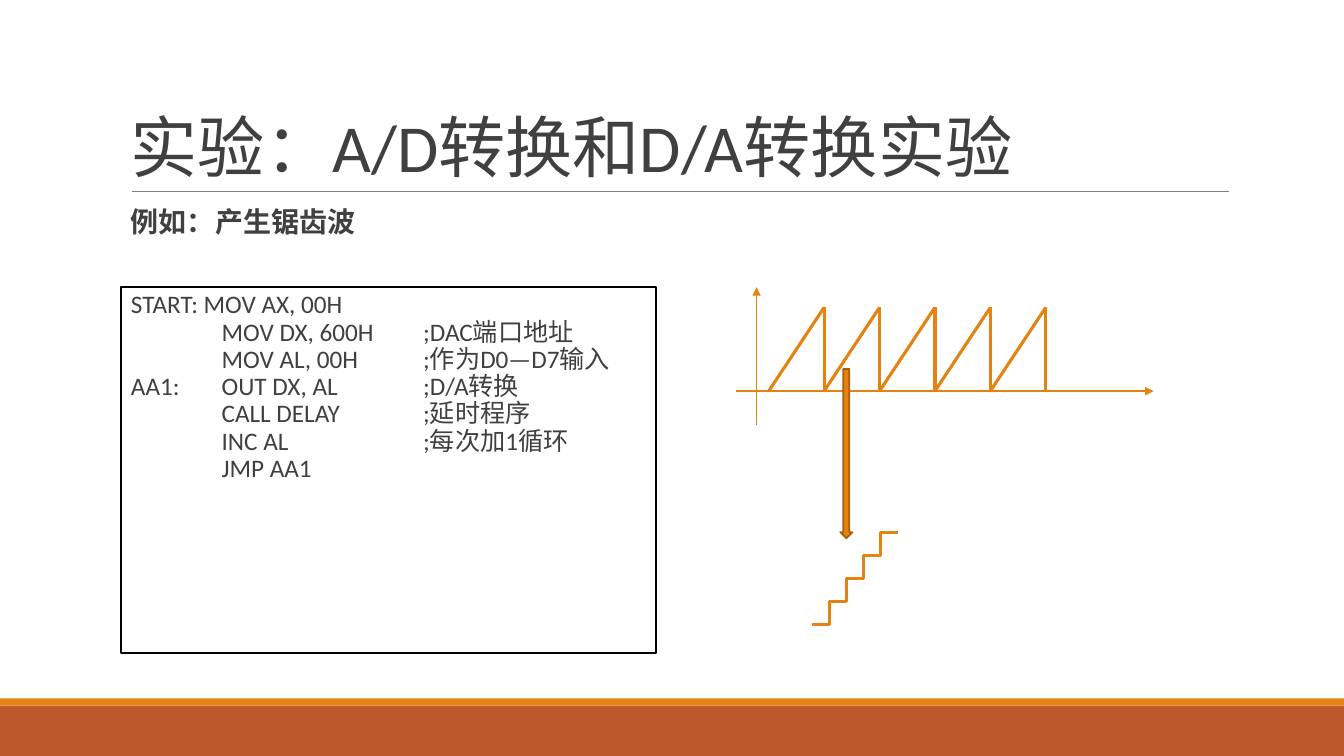
from lxml import etree
from pptx import Presentation, util as u
from pptx.dml.color import RGBColor
from pptx.enum import shapes, text
from pptx.oxml.ns import qn

PX = 9144  # 100 px to the inch
WHITE = RGBColor(0xFF, 0xFF, 0xFF)
BLACK = RGBColor(0, 0, 0)
INK = RGBColor(0x40, 0x40, 0x40)
GRAY = RGBColor(0x7F, 0x7F, 0x7F)
AMBER = RGBColor(0xE4, 0x83, 0x12)
BROWN = RGBColor(0xA7, 0x5F, 0x0A)
RUST = RGBColor(0xBD, 0x58, 0x2C)

CODE = [
    "START: MOV AX, 00H",
    "\tMOV DX, 600H\t;DAC端口地址",
    "\tMOV AL, 00H\t;作为D0—D7输入",
    "AA1:\tOUT DX, AL\t;D/A转换",
    "\tCALL DELAY\t;延时程序",
    "\tINC AL\t\t;每次加1循环",
    "\tJMP AA1",
]


def px(*vals):
    return [u.Emu(v * PX) for v in vals]


def block(slide, kind, box, fill, line=None):
    shape = slide.shapes.add_shape(kind, *px(*box))
    shape.shadow.inherit = False
    shape.fill.solid()
    shape.fill.fore_color.rgb = fill
    if line:
        shape.line.color.rgb = line
        shape.line.width = u.Pt(1.25)
    else:
        shape.line.fill.background()
    return shape


def wire(slide, ends, color, width, arrow=False,
         kind=shapes.MSO_CONNECTOR.STRAIGHT):
    line = slide.shapes.add_connector(kind, *px(*ends))
    line.line.color.rgb = color
    line.line.width = u.Pt(width)
    if arrow:
        tail = etree.SubElement(line.line._get_or_add_ln(), qn("a:tailEnd"))
        tail.set("type", "triangle")
    etree.SubElement(line._element.spPr, qn("a:effectLst"))


def hang(para, depth):
    # Hanging indent behind a blank bullet, with a tab stop every inch
    props = para._p.get_or_add_pPr()
    props.set("marL", str(depth * PX))
    props.set("indent", str(-depth * PX))
    etree.SubElement(props, qn("a:buFont"), typeface="Calibri")
    etree.SubElement(props, qn("a:buChar"), char=" ")
    tabs = etree.SubElement(props, qn("a:tabLst"))
    for stop in range(100, 900, 100):
        etree.SubElement(tabs, qn("a:tab"), pos=str(stop * PX), algn="l")


def write(shape, words, size, space, bold=False, inset=0, depth=10,
          anchor=text.MSO_ANCHOR.TOP):
    frame = shape.text_frame
    frame.word_wrap = True
    frame.vertical_anchor = anchor
    frame.margin_left = frame.margin_right = u.Emu(inset * PX)
    frame.margin_top = frame.margin_bottom = u.Emu(5 * PX)
    para = frame.paragraphs[0]
    para.text = words
    para.alignment = text.PP_ALIGN.LEFT
    para.line_spacing = space
    if depth:
        hang(para, depth)
    for run in para.runs:
        run.font.name = "Calibri"
        run.font.size = u.Pt(size)
        run.font.bold = bold
        run.font.color.rgb = INK


def footer(slide, x, y, w, h):
    rect = shapes.MSO_SHAPE.RECTANGLE
    block(slide, rect, (x, y + 7, w, h - 7), RUST)
    block(slide, rect, (x, y, w, 7), AMBER)


def header(slide, x, y, w, h):
    wire(slide, (x + 11, y + h, x + w, y + h), GRAY, 0.5)
    title = slide.shapes.add_textbox(*px(x, y, w, h))
    write(title, "实验：A/D转换和D/A转换实验", 48, 0.85, inset=10, depth=0,
          anchor=text.MSO_ANCHOR.BOTTOM)
    lead = slide.shapes.add_textbox(*px(x, y + h + 12, w, 43))
    write(lead, "例如：产生锯齿波", 20, 0.9, bold=True)


def listing(slide, *box):
    panel = block(slide, shapes.MSO_SHAPE.RECTANGLE, box, WHITE, BLACK)
    write(panel, "\v".join(CODE), 18, 0.9)


def wave(slide, x, y, w, h):
    # Axes
    base = y + 103
    wire(slide, (x, base, x + w, base), AMBER, 1, arrow=True)
    wire(slide, (x + 20, y + 137, x + 20, y), AMBER, 1, arrow=True)

    # Saw teeth
    step, peak = 55, y + 20
    for i in range(5):
        left = x + 32 + i * step
        right = left + step
        wire(slide, (left, base, right, peak), AMBER, 2.25)
        wire(slide, (right, peak, right, base), AMBER, 2.25)

    # Arrow to the enlarged slope
    block(slide, shapes.MSO_SHAPE.DOWN_ARROW, (x + 103, y + 81, 12, 168),
          AMBER, BROWN)

    # Stairs, each step overlapping half of the one before
    run, rise = 17, 23
    for i in range(4):
        left, low = x + 75 + i * run, y + h - i * rise
        wire(slide, (left, low, left + 2 * run, low - rise), AMBER, 2.25,
             kind=shapes.MSO_CONNECTOR.ELBOW)


def main():
    deck = Presentation()
    deck.slide_width, deck.slide_height = px(1334, 750)
    slide = deck.slides.add_slide(deck.slide_layouts[6])
    footer(slide, 0, 693, 1334, 57)
    header(slide, 120, 31, 1100, 159)
    listing(slide, 120, 285, 531, 363)
    wave(slide, 731, 285, 414, 335)
    deck.save("out.pptx")


if __name__ == "__main__":
    main()
